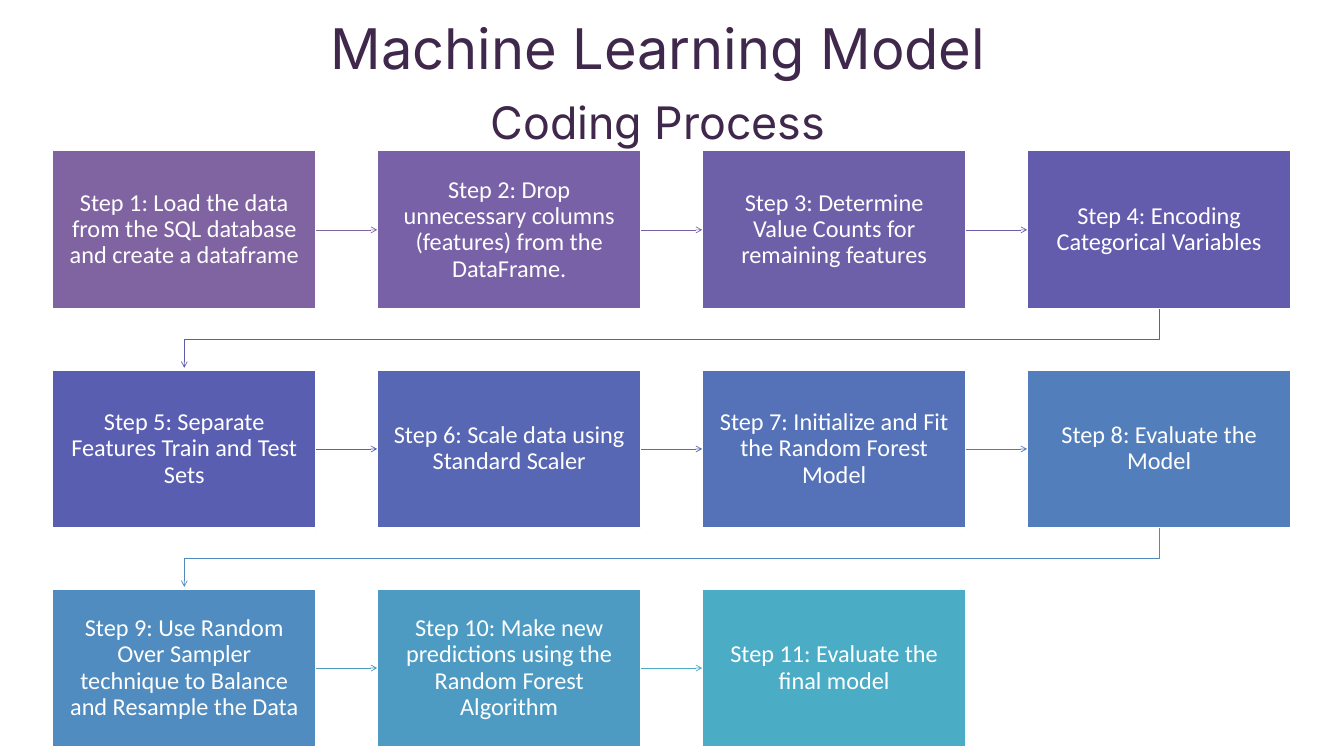
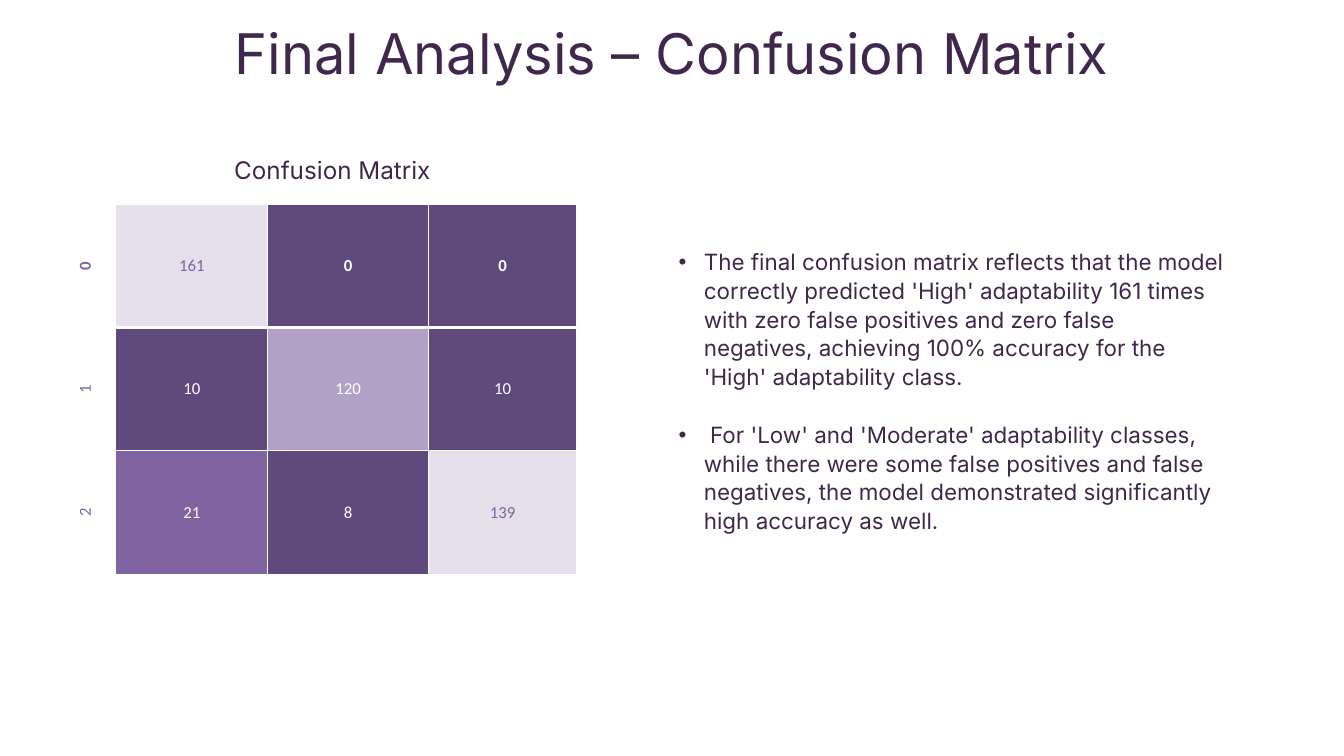
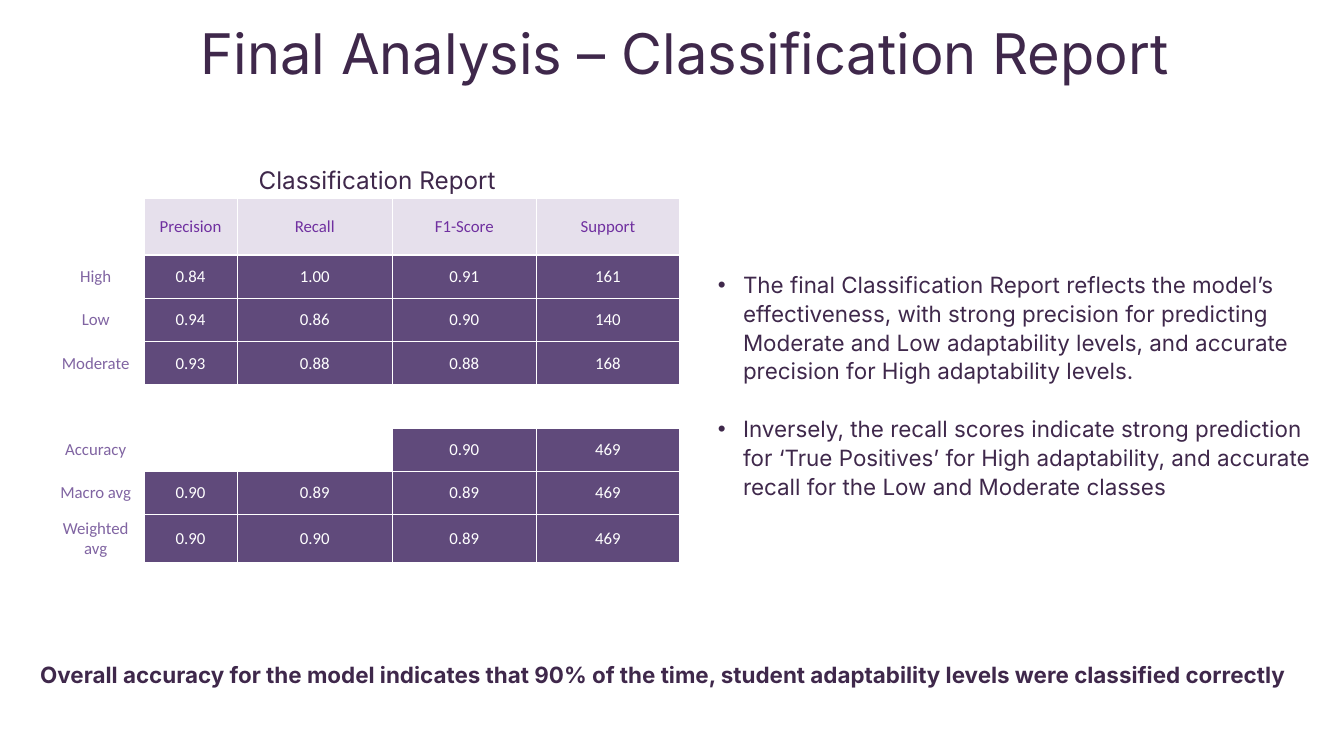
from lxml.etree import SubElement
from pptx import Presentation
from pptx.dml.color import RGBColor
from pptx.enum.shapes import MSO_CONNECTOR, MSO_SHAPE
from pptx.enum.text import MSO_ANCHOR, PP_ALIGN
from pptx.oxml.ns import qn
from pptx.util import Pt

INK = RGBColor(0x3F, 0x28, 0x4B)
WHITE = RGBColor(0xFF, 0xFF, 0xFF)
PALE = RGBColor(0xE6, 0xE0, 0xEC)
LILAC = RGBColor(0xB3, 0xA2, 0xC7)
PURPLE = RGBColor(0x80, 0x64, 0xA2)
DARK = RGBColor(0x60, 0x4A, 0x7B)
VIOLET = RGBColor(0x70, 0x30, 0xA0)
HEAD_FONT, BODY_FONT = "Inter", "Calibri"

# Step text, box colour, colour of the arrow that leaves the box
STEPS = [
    ("Step 1: Load the data from the SQL database and create a dataframe",
     RGBColor(0x80, 0x64, 0xA2), RGBColor(0x80, 0x64, 0xA2)),
    ("Step 2: Drop unnecessary columns (features) from the DataFrame.",
     RGBColor(0x78, 0x61, 0xA6), RGBColor(0x77, 0x61, 0xA6)),
    ("Step 3: Determine Value Counts for remaining features",
     RGBColor(0x6E, 0x5F, 0xA9), RGBColor(0x6C, 0x5E, 0xAA)),
    ("Step 4: Encoding Categorical Variables",
     RGBColor(0x63, 0x5C, 0xAD), RGBColor(0x5F, 0x5B, 0xAE)),
    ("Step 5: Separate Features Train and Test Sets",
     RGBColor(0x5A, 0x5E, 0xB1), RGBColor(0x59, 0x61, 0xB2)),
    ("Step 6: Scale data using Standard Scaler",
     RGBColor(0x57, 0x67, 0xB4), RGBColor(0x56, 0x6D, 0xB6)),
    ("Step 7: Initialize and Fit the Random Forest Model",
     RGBColor(0x55, 0x72, 0xB8), RGBColor(0x53, 0x7A, 0xBA)),
    ("Step 8: Evaluate the Model",
     RGBColor(0x52, 0x7E, 0xBC), RGBColor(0x50, 0x89, 0xBE)),
    ("Step 9: Use Random Over Sampler technique to Balance and Resample the Data",
     RGBColor(0x50, 0x8C, 0xBF), RGBColor(0x4E, 0x99, 0xC2)),
    ("Step 10: Make new predictions using the Random Forest Algorithm",
     RGBColor(0x4D, 0x9B, 0xC3), RGBColor(0x4B, 0xAC, 0xC6)),
    ("Step 11: Evaluate the final model",
     RGBColor(0x4B, 0xAC, 0xC6), None),
]

MATRIX = [
    ["0", "161", "0", "0"],
    ["1", "10", "120", "10"],
    ["2", "21", "8", "139"],
]
MATRIX_NOTES = [
    "The final confusion matrix reflects that the model correctly predicted "
    "'High' adaptability 161 times with zero false positives and zero false "
    "negatives, achieving 100% accuracy for the 'High' adaptability class.",
    " For 'Low' and 'Moderate' adaptability classes, while there were some "
    "false positives and false negatives, the model demonstrated "
    "significantly high accuracy as well.",
]
REPORT = [
    ["", "Precision", "Recall", "F1-Score", "Support"],
    ["High", "0.84", "1.00", "0.91", "161"],
    ["Low", "0.94", "0.86", "0.90", "140"],
    ["Moderate", "0.93", "0.88", "0.88", "168"],
    ["", "", "", "", ""],
    ["Accuracy", "", "", "0.90", "469"],
    ["Macro avg", "0.90", "0.89", "0.89", "469"],
    ["Weighted avg", "0.90", "0.90", "0.89", "469"],
]
REPORT_NOTES = [
    "The final Classification Report reflects the model’s effectiveness, with "
    "strong precision for predicting Moderate and Low adaptability levels, "
    "and accurate precision for High adaptability levels.",
    "Inversely, the recall scores indicate strong prediction for ‘True "
    "Positives’ for High adaptability, and accurate recall for the Low and "
    "Moderate classes",
]
REPORT_SUMMARY = ("Overall accuracy for the model indicates that 90% of the time, "
                  "student adaptability levels were classified correctly")


# Text
def write(tf, text, size=24, color=INK, font=HEAD_FONT, bold=False,
          align=None, spacing=None, before=None, bullet=False):
    """Fill the empty first paragraph of tf, or add a new one."""
    p = tf.paragraphs[0]
    if p.runs:
        p = tf.add_paragraph()
    if bullet:
        pPr = p._p.get_or_add_pPr()
        pPr.set("marL", str(Pt(27)))
        pPr.set("indent", str(Pt(-27)))
        SubElement(pPr, qn("a:buFont")).set("typeface", "Arial")
        SubElement(pPr, qn("a:buChar")).set("char", "•")
    p.alignment = align
    p.line_spacing = spacing
    p.space_before = before
    r = p.add_run()
    r.text = text
    r.font.size = Pt(size)
    r.font.name = font
    r.font.bold = bold
    r.font.color.rgb = color


def set_margins(tf, x, y):
    tf.margin_left = tf.margin_right = Pt(x)
    tf.margin_top = tf.margin_bottom = Pt(y)


def add_box(slide, box, margins=(7.2, 3.6)):
    tf = slide.shapes.add_textbox(*map(Pt, box)).text_frame
    tf.word_wrap = True
    set_margins(tf, *margins)
    return tf


def add_heading(slide, box, *lines, spacing=72):
    tf = add_box(slide, box, margins=(0, 0))
    for text, size in lines:
        write(tf, text, size=size, align=PP_ALIGN.CENTER, spacing=Pt(spacing))


def add_notes(slide, box, notes):
    tf = add_box(slide, box)
    for i, note in enumerate(notes):
        write(tf, note, spacing=1.07, bullet=True, before=Pt(31) if i else None)


# Flow of steps
def style_arrow(s, color):
    s.line.color.rgb = color
    s.line.width = Pt(0.75)
    spPr = s._element.spPr
    SubElement(spPr.find(qn("a:ln")), qn("a:tailEnd")).set("type", "arrow")
    if spPr.find(qn("a:effectLst")) is None:
        SubElement(spPr, qn("a:effectLst"))


def add_step(slide, box, text, fill):
    s = slide.shapes.add_shape(MSO_SHAPE.RECTANGLE, *map(Pt, box))
    s.shadow.inherit = False
    s.fill.solid()
    s.fill.fore_color.rgb = fill
    s.line.color.rgb = WHITE
    s.line.width = Pt(2)
    tf = s.text_frame
    tf.word_wrap = True
    tf.vertical_anchor = MSO_ANCHOR.MIDDLE
    set_margins(tf, 14.4, 14.4)
    write(tf, text, size=26, color=WHITE, font=BODY_FONT,
          align=PP_ALIGN.CENTER, spacing=0.9)
    return s


def link_across(slide, start, end, color):
    s = slide.shapes.add_connector(MSO_CONNECTOR.STRAIGHT, 0, 0, 0, 0)
    s.begin_connect(start, 3)
    s.end_connect(end, 1)
    style_arrow(s, color)


def link_down(slide, start, end, color):
    """Turned arrow from the end of one row to the start of the next."""
    x1, y1 = start.left + start.width // 2, start.top + start.height
    x2, y2 = end.left + end.width // 2, end.top - Pt(2)
    middle = (y1 + end.top) // 2
    path = slide.shapes.build_freeform(x1, y1)
    path.add_line_segments([(x1, middle), (x2, middle), (x2, y2)], close=False)
    s = path.convert_to_shape()
    s.fill.background()
    s.shadow.inherit = False
    style_arrow(s, color)


def add_flow(slide, box, columns=4, rows=3, step_w=283, step_h=170):
    left, top, width, height = box
    pitch_x = (width - step_w) / (columns - 1)
    pitch_y = (height - step_h) / (rows - 1)
    steps = []
    for i, (text, fill, _) in enumerate(STEPS):
        row, col = divmod(i, columns)
        place = (left + col * pitch_x, top + row * pitch_y, step_w, step_h)
        steps.append(add_step(slide, place, text, fill))
    for i, (start, end) in enumerate(zip(steps, steps[1:]), 1):
        link = link_across if i % columns else link_down
        link(slide, start, end, STEPS[i - 1][2])


# Tables
def set_borders(cell, row):
    tcPr = cell._tc.get_or_add_tcPr()
    widths = {"lnL": 1, "lnR": 1, "lnT": 1, "lnB": 1 if row else 3}
    if row:
        del widths["lnT"]  # the row above draws this edge
    for tag, width in widths.items():
        ln = SubElement(tcPr, qn(f"a:{tag}"), w=str(Pt(width)))
        fill = SubElement(ln, qn("a:solidFill"))
        SubElement(fill, qn("a:srgbClr")).set("val", str(WHITE))


def add_grid(slide, left, top, col_widths, row_heights, values, shade, turn_labels=False):
    """shade(row, col, text) gives the fill (or None) and the text colour."""
    frame = slide.shapes.add_table(
        len(row_heights), len(col_widths), Pt(left), Pt(top),
        Pt(sum(col_widths)), Pt(sum(row_heights)))
    table = frame.table
    table.first_row = table.horz_banding = False
    for column, width in zip(table.columns, col_widths):
        column.width = Pt(width)
    for row, height in zip(table.rows, row_heights):
        row.height = Pt(height)
    for r, line in enumerate(values):
        for c, text in enumerate(line):
            cell = table.cell(r, c)
            fill, color = shade(r, c, text)
            set_borders(cell, r)
            if fill is None:
                cell.fill.background()
            else:
                cell.fill.solid()
                cell.fill.fore_color.rgb = fill
            if turn_labels and c == 0:
                cell._tc.tcPr.set("vert", "vert270")
            else:
                cell.vertical_anchor = MSO_ANCHOR.MIDDLE
            if text:
                write(cell.text_frame, text, size=18, color=color, font=BODY_FONT,
                      bold=text == "0", align=PP_ALIGN.CENTER)


def shade_matrix(row, col, text):
    if col == 0:
        return None, PURPLE
    count = int(text)
    if count > 120:
        return PALE, PURPLE
    if count > 100:
        return LILAC, WHITE
    return (PURPLE if count > 10 else DARK), WHITE


def shade_report(row, col, text):
    if col == 0 or not text:
        return None, PURPLE
    return (DARK, WHITE) if row else (PALE, VIOLET)


# Slides
def process_slide(slide):
    add_heading(slide, (54, 15, 1302, 139),
                ("Machine Learning Model", 60), ("Coding Process", 48))
    add_flow(slide, (56, 161.3, 1327.5, 639.5))


def matrix_slide(slide):
    add_heading(slide, (190, 19.5, 1060, 73), ("Final Analysis – Confusion Matrix", 60))
    add_heading(slide, (168, 161, 376.5, 34), ("Confusion Matrix", 26), spacing=36.4)
    add_notes(slide, (720, 260.5, 602.5, 316), MATRIX_NOTES)
    add_grid(slide, 76.5, 219, [47.5, 163, 172, 159], [132] * 3,
             MATRIX, shade_matrix, turn_labels=True)


def report_slide(slide):
    add_heading(slide, (190, 19.5, 1088, 73), ("Final Analysis – Classification Report", 60))
    add_heading(slide, (216, 171.5, 376.5, 34), ("Classification Report", 26), spacing=36.4)
    add_notes(slide, (762, 285, 656.5, 254), REPORT_NOTES)
    add_grid(slide, 50.5, 213, [104, 99.5, 166.5, 154, 154],
             [60.5] + [46.3] * 6 + [51.5], REPORT, shade_report)
    write(add_box(slide, (36, 702.5, 1392, 36)), REPORT_SUMMARY, bold=True, spacing=1.07)


def main():
    prs = Presentation()
    prs.slide_width, prs.slide_height = Pt(1440), Pt(810)
    for build in (process_slide, matrix_slide, report_slide):
        build(prs.slides.add_slide(prs.slide_layouts[6]))
    prs.save("out.pptx")


if __name__ == "__main__":
    main()
